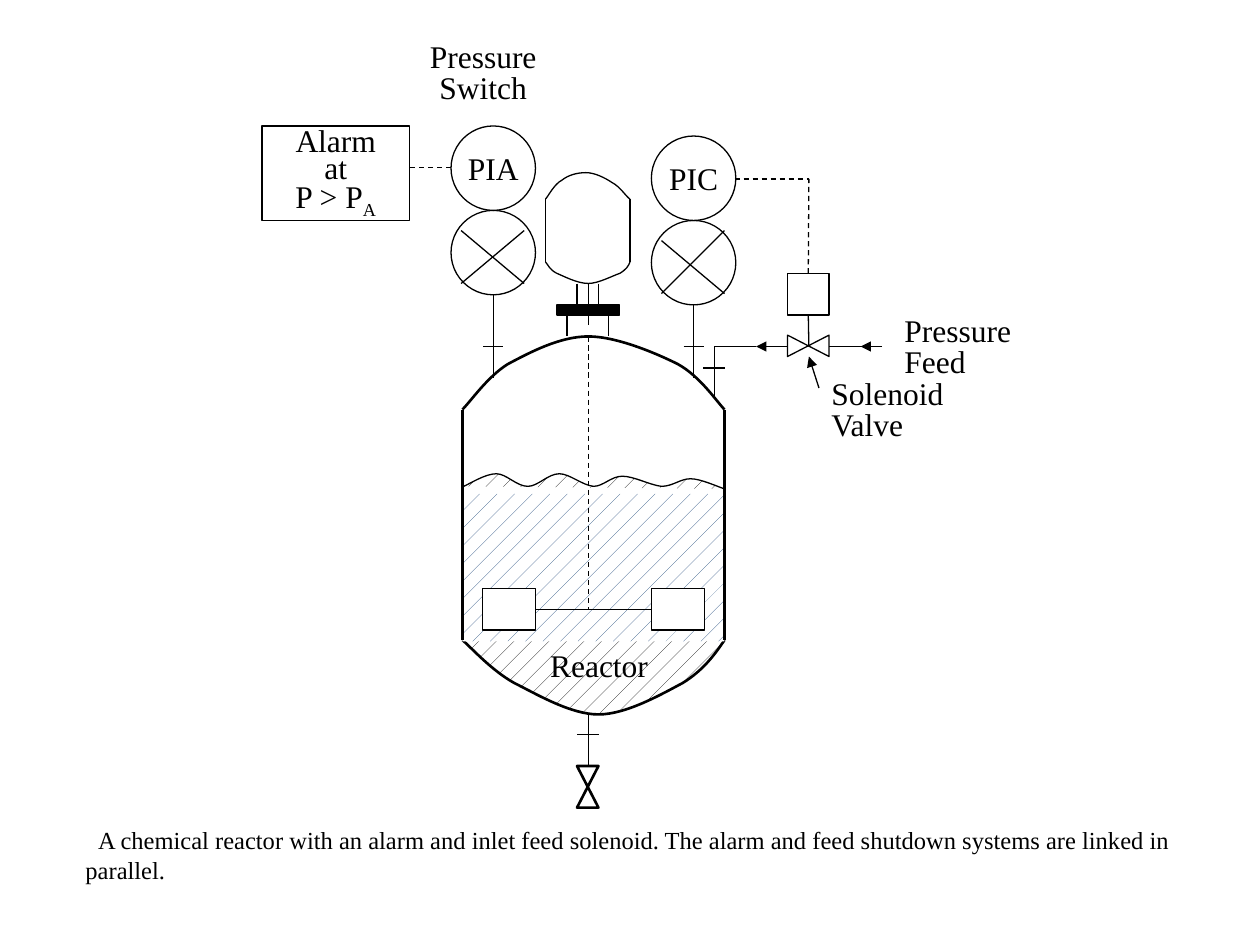
from dataclasses import dataclass

from lxml import etree
from pptx import Presentation
from pptx.dml.color import RGBColor
from pptx.enum.dml import MSO_LINE, MSO_PATTERN
from pptx.enum.shapes import MSO_CONNECTOR, MSO_SHAPE
from pptx.enum.text import MSO_ANCHOR, MSO_AUTO_SIZE, PP_ALIGN
from pptx.oxml.ns import qn
from pptx.util import Inches, Pt

RECT, OVAL, VALVE = MSO_SHAPE.RECTANGLE, MSO_SHAPE.OVAL, MSO_SHAPE.FLOWCHART_COLLATE
STRAIGHT = MSO_CONNECTOR.STRAIGHT
LEFT, CENTER = PP_ALIGN.LEFT, PP_ALIGN.CENTER
TOP_SITE, LEFT_SITE, BOTTOM_SITE, RIGHT_SITE = range(4)


@dataclass(frozen=True)
class Theme:
    ink: RGBColor = RGBColor(0, 0, 0)
    paper: RGBColor = RGBColor(255, 255, 255)
    liquid: RGBColor = RGBColor(0x1F, 0x49, 0x7D)
    font: str = "Times New Roman"
    label: float = 18
    caption: float = 14
    thin: float = 0.75
    thick: float = 1.5


THEME = Theme()


# Drawing helpers: all lengths are in inches
def hatch(sp, color):
    sp.fill.patterned()
    sp.fill.pattern = MSO_PATTERN.PERCENT_5
    sp.fill.fore_color.rgb = color
    sp.fill.back_color.rgb = THEME.paper


def outline(sp, width):
    sp.line.color.rgb = THEME.ink
    sp.line.width = Pt(width)


def line(s, x1, y1, x2, y2, width=THEME.thin, dash=False, arrow=False):
    c = s.shapes.add_connector(STRAIGHT, *map(Inches, (x1, y1, x2, y2)))
    outline(c, width)
    if dash:
        c.line.dash_style = MSO_LINE.DASH
    if arrow:
        etree.SubElement(c.line._get_or_add_ln(), qn("a:tailEnd"), type="triangle")
    etree.SubElement(c._element.spPr, qn("a:effectLst"))
    return c


def shape(s, kind, x, y, w, h, fill=THEME.paper, width=THEME.thin):
    sp = s.shapes.add_shape(kind, *map(Inches, (x, y, w, h)))
    sp.shadow.inherit = False
    sp.fill.solid()
    sp.fill.fore_color.rgb = fill
    outline(sp, width)
    return sp


def curve(s, x, y, points, width=THEME.thin, hatched=False):
    """Open Bezier path: a start point, then three points for each segment."""
    pts = [(Inches(x + px), Inches(y + py)) for px, py in points]
    fb = s.shapes.build_freeform(*pts[0])
    fb.add_line_segments(pts[1:], close=False)
    sp = fb.convert_to_shape()
    sp.shadow.inherit = False
    segments = sp._element.findall(".//" + qn("a:lnTo"))
    for i in range(0, len(segments), 3):
        bezier = etree.Element(qn("a:cubicBezTo"))
        segments[i].addprevious(bezier)
        for seg in segments[i:i + 3]:
            bezier.append(seg[0])
            seg.getparent().remove(seg)
    if hatched:
        hatch(sp, THEME.ink)
    else:
        sp.fill.background()
    outline(sp, width)


def write(tf, text, size=THEME.label, align=CENTER, spacing=None, gap=0):
    tf.text = text
    for i, p in enumerate(tf.paragraphs):
        p.alignment = align
        if spacing:
            p.line_spacing = spacing
        if i and gap:
            p.space_before = Pt(gap)
        for r in p.runs:
            r.font.name = THEME.font
            r.font.size = Pt(size)
            r.font.color.rgb = THEME.ink


def inside(sp, text, **style):
    tf = sp.text_frame
    tf.word_wrap = False
    tf.vertical_anchor = MSO_ANCHOR.MIDDLE
    write(tf, text, **style)


def textbox(s, x, y, w, h, text, **style):
    tf = s.shapes.add_textbox(*map(Inches, (x, y, w, h))).text_frame
    tf.word_wrap = True
    tf.auto_size = MSO_AUTO_SIZE.SHAPE_TO_FIT_TEXT
    write(tf, text, **style)
    return tf


def two_line_label(s, x, y, w, text, align=LEFT):
    textbox(s, x, y, w, 0.55, text, align=align, spacing=0.7, gap=2.6)


# Regions of the diagram
def reactor(s, x, y, w=2.08):
    thick = THEME.thick
    # Domed ends, liquid surface and liquid
    curve(s, x, y, [(w, 0.58), (2.02, 0.52), (1.89, 0.32), (1.71, 0.22), (1.53, 0.13),
                    (1.22, 0), (1, 0), (0.77, 0), (0.53, 0.13), (0.36, 0.22),
                    (0.2, 0.32), (0.07, 0.51), (0, 0.58)], thick)
    curve(s, x, y, [(w, 2.41), (2, 2.53), (1.91, 2.65), (1.75, 2.75), (1.58, 2.84),
                    (1.3, 3), (1.08, 3), (0.86, 3), (0.59, 2.84), (0.41, 2.75),
                    (0.23, 2.65), (0.07, 2.47), (0, 2.41)], thick, hatched=True)
    curve(s, x, y, [(0.01, 1.19), (0.06, 1.17), (0.18, 1.09), (0.27, 1.09), (0.35, 1.09),
                    (0.43, 1.19), (0.52, 1.19), (0.6, 1.19), (0.68, 1.09), (0.77, 1.09),
                    (0.85, 1.09), (0.95, 1.18), (1.04, 1.19), (1.12, 1.19), (1.18, 1.11),
                    (1.27, 1.11), (1.36, 1.11), (1.49, 1.18), (1.58, 1.19), (1.67, 1.19),
                    (1.73, 1.13), (1.81, 1.13), (1.89, 1.13), (2.02, 1.19), (w, 1.21)],
          hatched=True)
    liquid = shape(s, RECT, x, y + 1.25, w, 1.17)
    hatch(liquid, THEME.liquid)
    liquid.line.fill.background()
    for wall in (x, x + w):
        line(s, wall, y + 0.58, wall, y + 2.41, thick)
    # Stirrer
    line(s, x + 1, y, x + 1, y + 2.16, dash=True)
    left, right = (shape(s, RECT, x + dx, y + 2, 0.42, 0.33) for dx in (0.16, 1.5))
    arm = line(s, x + 0.58, y + 2.16, x + 1.5, y + 2.16)
    arm.begin_connect(left, RIGHT_SITE)
    arm.end_connect(right, LEFT_SITE)
    textbox(s, x + 0.5, y + 2.41, 1.17, 0.4, "Reactor")
    # Drain
    line(s, x + 1, y + 3, x + 1, y + 3.41)
    line(s, x + 0.91, y + 3.16, x + 1.08, y + 3.16)
    shape(s, VALVE, x + 0.91, y + 3.41, 0.17, 0.33, width=thick)


def motor(s, x, y, w=0.67):
    curve(s, x, y, [(0, 0.21), (0.02, 0.19), (0.07, 0.09), (0.13, 0.06), (0.18, 0.02),
                    (0.25, 0), (0.32, 0), (0.39, 0), (0.47, 0.04), (0.53, 0.08),
                    (0.59, 0.11), (0.64, 0.19), (w, 0.21)])
    curve(s, x, y, [(w, 0.71), (0.66, 0.74), (0.64, 0.77), (0.59, 0.8), (0.53, 0.82),
                    (0.42, 0.88), (0.34, 0.88), (0.25, 0.88), (0.14, 0.82), (0.09, 0.8),
                    (0.03, 0.77), (0.02, 0.73), (0, 0.71)])
    # Side walls, shaft and mounting on the vessel
    for dx, top, bottom in ((0, 0.21, 0.71), (w, 0.21, 0.71), (0.25, 0.88, 1.05),
                            (0.42, 0.88, 1.05), (0.34, 0.88, 1.21),
                            (0.17, 1.13, 1.3), (0.5, 1.13, 1.3)):
        line(s, x + dx, y + top, x + dx, y + bottom)
    shape(s, RECT, x + 0.09, y + 1.05, 0.5, 0.08, fill=THEME.ink)


def instrument(s, x, y, name, stem_end, flange, rise_top, d=0.67):
    mid = x + d / 2
    line(s, mid, y + 2 * d, mid, stem_end)
    line(s, mid - 0.08, flange, mid + 0.08, flange)
    shape(s, OVAL, x, y + d, d, d)
    line(s, x + 0.08, y + 0.83, x + 0.58, y + 1.25)
    line(s, x + 0.58, y + rise_top, x + 0.08, y + 1.25)
    inside(shape(s, OVAL, x, y, d, d), name)


def feed(s, x, y):
    # Pipe into the vessel
    line(s, x, y, x, y + 0.42)
    line(s, x - 0.09, y + 0.17, x + 0.08, y + 0.17)
    line(s, x, y, x + 0.33, y)
    line(s, x + 0.58, y, x + 0.33, y, arrow=True)
    # Solenoid valve and supply
    shape(s, VALVE, x + 0.66, y - 0.17, 0.17, 0.33).rotation = 90
    line(s, x + 0.91, y, x + 1.16, y)
    line(s, x + 1.33, y, x + 1.16, y, arrow=True)
    actuator = shape(s, RECT, x + 0.58, y - 0.58, 0.33, 0.33)
    line(s, x + 0.75, y, x + 0.75, y - 0.25).end_connect(actuator, BOTTOM_SITE)
    # Control signal
    signal = line(s, x + 0.75, y - 0.58, x + 0.75, y - 1.33, dash=True)
    signal.begin_connect(actuator, TOP_SITE)
    line(s, x + 0.16, y - 1.33, x + 0.75, y - 1.33, dash=True)
    # Labels
    two_line_label(s, x + 1.41, y - 0.25, 1.25, "Pressure\nFeed")
    two_line_label(s, x + 0.83, y + 0.25, 1.92, "Solenoid\nValve")
    line(s, x + 0.83, y + 0.33, x + 0.75, y + 0.08, arrow=True)


def alarm(s, x, y, w=1.17, h=0.75):
    line(s, x + 1.5, y + 0.33, x + w, y + 0.33, dash=True)
    box = shape(s, RECT, x, y, w, h)
    inside(box, "Alarm\nat\nP > P", spacing=0.7)
    r = box.text_frame.paragraphs[-1].add_run()
    r.text = "A"
    r.font.name, r.font.size = THEME.font, Pt(THEME.label)
    r.font.color.rgb = THEME.ink
    r.font._element.set("baseline", "-25000")


def caption(s, x, y, w, h):
    tf = textbox(s, x, y, w, h,
                 "A chemical reactor with an alarm and inlet feed solenoid. "
                 "The alarm and feed shutdown systems are linked in parallel.",
                 size=THEME.caption, align=LEFT)
    tf.paragraphs[0]._p.get_or_add_pPr().set("indent", str(Inches(0.1)))


def main():
    prs = Presentation()
    prs.slide_width, prs.slide_height = Inches(10), Inches(7.5)
    s = prs.slides.add_slide(prs.slide_layouts[6])
    reactor(s, 3.67, 2.67)
    motor(s, 4.33, 1.37)
    instrument(s, 3.58, 1, "PIA", stem_end=3, flange=2.75, rise_top=0.83)
    instrument(s, 5.17, 1.08, "PIC", stem_end=3, flange=2.75, rise_top=0.75)
    feed(s, 5.67, 2.75)
    alarm(s, 2.08, 1)
    two_line_label(s, 2.92, 0.33, 1.83, "Pressure\nSwitch", align=CENTER)
    caption(s, 0.58, 6.5, 8.92, 0.57)
    prs.save("out.pptx")


if __name__ == "__main__":
    main()
